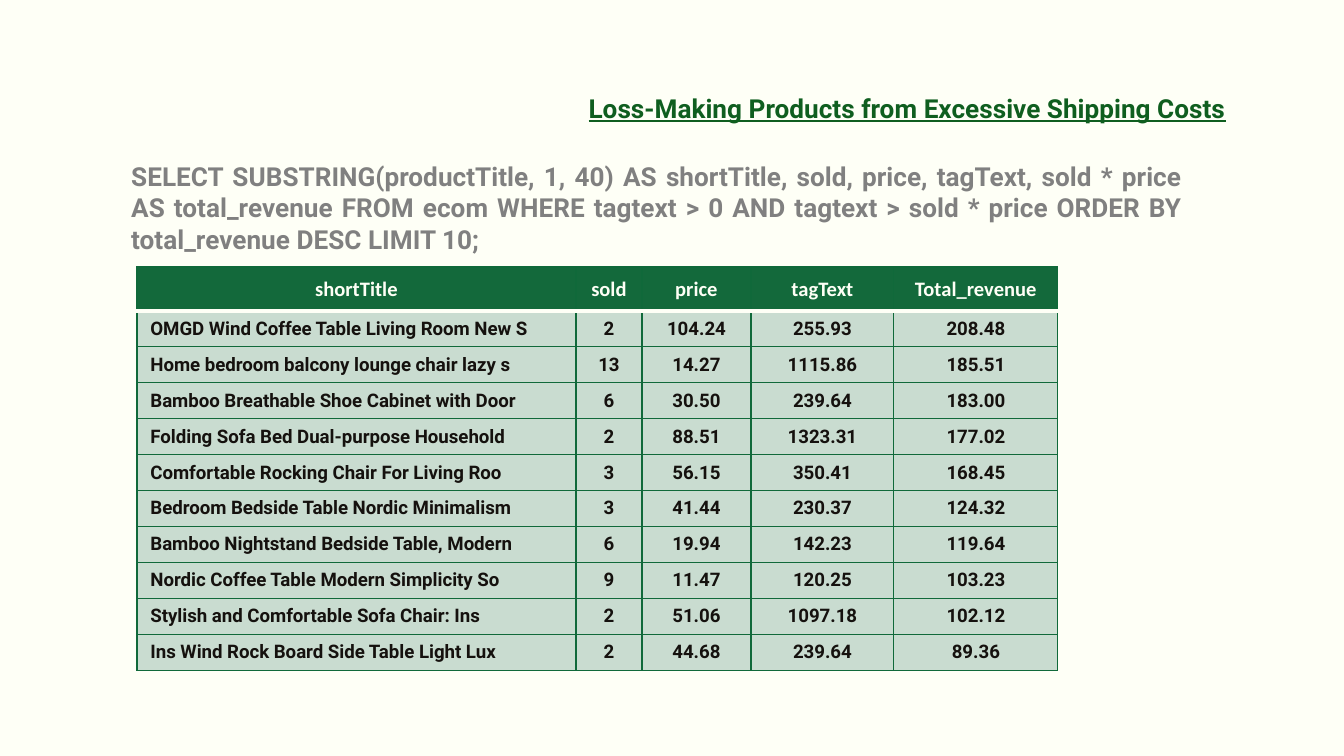
from lxml import etree
from pptx import Presentation
from pptx import util as u
from pptx.dml.color import RGBColor
from pptx.enum import text
from pptx.oxml.ns import qn

CREAM = RGBColor(0xFE, 0xFF, 0xF6)
TITLE_GREEN = RGBColor(0x0F, 0x5E, 0x1F)
HEADER_GREEN = RGBColor(0x13, 0x69, 0x3B)
BORDER_GREEN = RGBColor(0x10, 0x69, 0x3A)
PALE_GREEN = RGBColor(0xC9, 0xDC, 0xD0)
GRAY = RGBColor(0x80, 0x80, 0x80)
INK = RGBColor(0x15, 0x11, 0x0E)

QUERY = (
    "SELECT SUBSTRING(productTitle, 1, 40) AS shortTitle, sold, price, tagText, "
    "sold * price AS total_revenue FROM ecom WHERE tagtext > 0 AND tagtext > "
    "sold * price ORDER BY total_revenue DESC LIMIT 10;"
)
COLUMN_WIDTHS = [439, 66, 109, 143, 164]
HEADERS = ["shortTitle", "sold", "price", "tagText", "Total_revenue"]
PRODUCTS = [
    ["OMGD Wind Coffee Table Living Room New S", "2", "104.24", "255.93", "208.48"],
    ["Home bedroom balcony lounge chair lazy s", "13", "14.27", "1115.86", "185.51"],
    ["Bamboo Breathable Shoe Cabinet with Door", "6", "30.50", "239.64", "183.00"],
    ["Folding Sofa Bed Dual-purpose Household", "2", "88.51", "1323.31", "177.02"],
    ["Comfortable Rocking Chair For Living Roo", "3", "56.15", "350.41", "168.45"],
    ["Bedroom Bedside Table Nordic Minimalism", "3", "41.44", "230.37", "124.32"],
    ["Bamboo Nightstand Bedside Table, Modern", "6", "19.94", "142.23", "119.64"],
    ["Nordic Coffee Table Modern Simplicity So", "9", "11.47", "120.25", "103.23"],
    ["Stylish and Comfortable Sofa Chair: Ins", "2", "51.06", "1097.18", "102.12"],
    ["Ins Wind Rock Board Side Table Light Lux", "2", "44.68", "239.64", "89.36"],
]


def px(length):
    return round(length * u.Inches(10) / 1344)


class SlideBuilder:
    """Holds the slide and draws its styled text and table."""

    def __init__(self, slide):
        self.slide = slide
        slide.background.fill.solid()
        slide.background.fill.fore_color.rgb = CREAM

    def style(self, paragraph, size, font_name, color, align):
        paragraph.alignment = align
        font = paragraph.runs[0].font
        font.size, font.name, font.bold = u.Pt(size), font_name, True
        font.color.rgb = color
        return font

    def text_box(self, left, top, width, height, content, color, align):
        shape = self.slide.shapes.add_textbox(px(left), px(top), px(width), px(height))
        frame = shape.text_frame
        frame.word_wrap = True
        frame.margin_left = frame.margin_right = u.Inches(0.1)
        frame.margin_top = frame.margin_bottom = u.Inches(0.1)
        frame.text = content
        return self.style(frame.paragraphs[0], 14, "Roboto", color, align)

    def border(self, cell, side, color, width):
        properties = cell._tc.get_or_add_tcPr()
        line = etree.SubElement(properties, qn(f"a:ln{side}"), w=str(u.Pt(width)))
        fill = etree.SubElement(line, qn("a:solidFill"))
        etree.SubElement(fill, qn("a:srgbClr"), val=str(color))

    def cell(self, cell, content, row, column):
        header = row == 0
        cell.vertical_anchor = text.MSO_ANCHOR.MIDDLE
        for side in "LRTB":
            if (row, side) in ((0, "B"), (1, "T")):
                self.border(cell, side, CREAM, 2)
            else:
                self.border(cell, side, BORDER_GREEN, 0.75)
        cell.fill.solid()
        cell.fill.fore_color.rgb = HEADER_GREEN if header else PALE_GREEN
        cell.text = content
        paragraph = cell.text_frame.paragraphs[0]
        centered = header or column > 0
        align = text.PP_ALIGN.CENTER if centered else text.PP_ALIGN.LEFT
        if header:
            cell.margin_left = cell.margin_right = u.Inches(0.07)
            cell.margin_top = cell.margin_bottom = 0
            paragraph.line_spacing = 1.07
            self.style(paragraph, 11, "Calibri", CREAM, align)
        else:
            self.style(paragraph, 10, "Roboto", INK, align)

    def table(self, left, top, height, header_height, widths, rows):
        shape = self.slide.shapes.add_table(
            len(rows), len(widths), px(left), px(top), px(sum(widths)), px(height))
        table = shape.table
        for column, width in zip(table.columns, widths):
            column.width = px(width)
        body_height = (height - header_height) / (len(rows) - 1)
        for index, values in enumerate(rows):
            table.rows[index].height = px(body_height if index else header_height)
            for column, value in enumerate(values):
                self.cell(table.cell(index, column), value, index, column)


def main():
    presentation = Presentation()
    presentation.slide_width, presentation.slide_height = px(1344), px(756)
    slide = presentation.slides.add_slide(presentation.slide_layouts[6])
    builder = SlideBuilder(slide)
    title_font = builder.text_box(
        547, 79, 692, 56, "Loss-Making Products from Excessive Shipping Costs",
        TITLE_GREEN, text.PP_ALIGN.RIGHT)
    title_font.underline = True
    builder.text_box(118, 147, 1078, 101, QUERY, GRAY, text.PP_ALIGN.JUSTIFY)
    builder.table(137, 267, 400, 44, COLUMN_WIDTHS, [HEADERS, *PRODUCTS])
    presentation.save("out.pptx")


if __name__ == "__main__":
    main()
